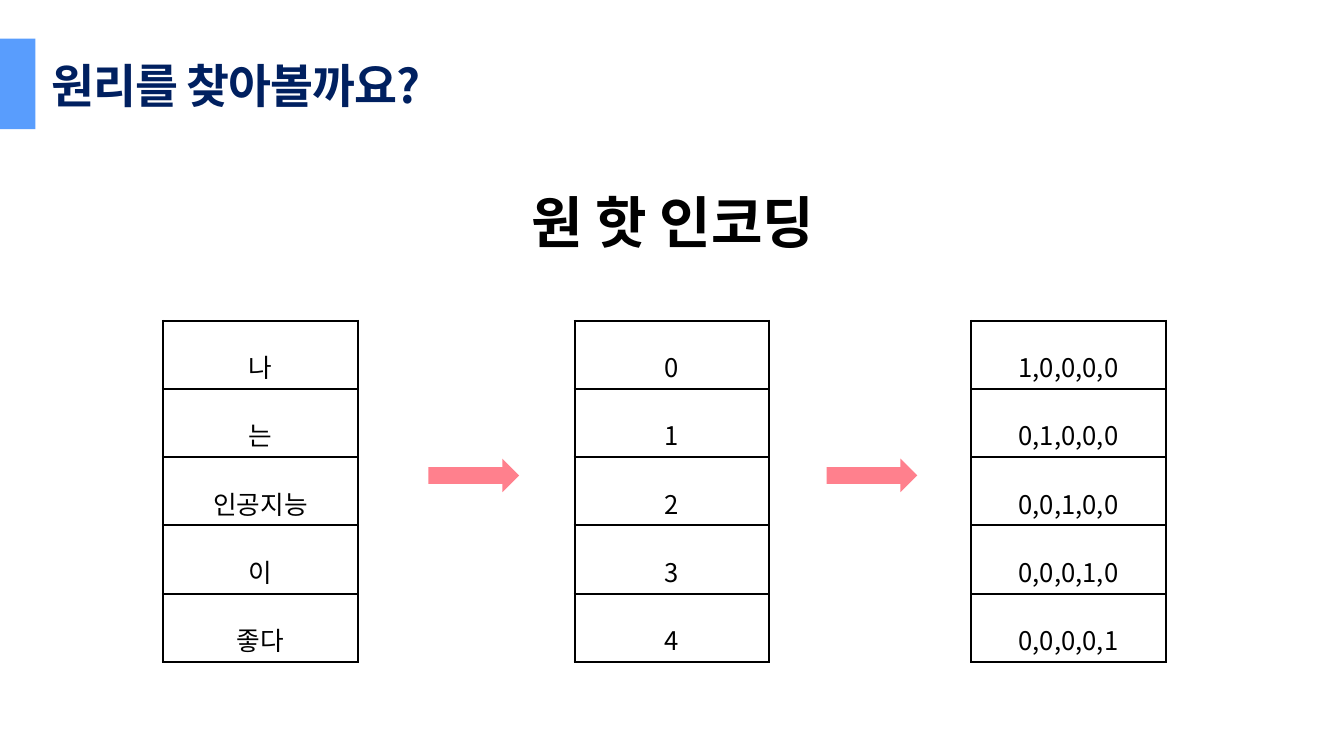
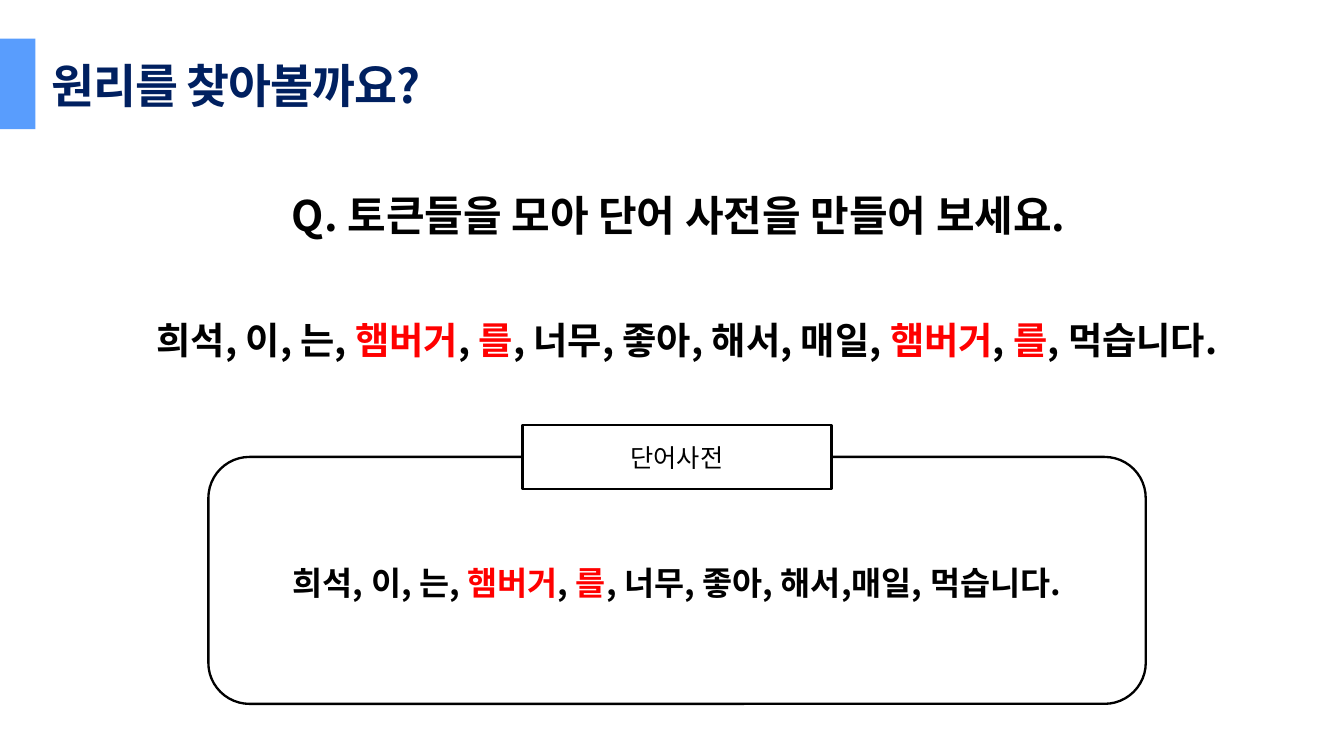
import pptx
import pptx.util
import pptx.dml.color
import pptx.enum.shapes
import pptx.enum.text
import pptx.oxml.ns
from lxml import etree

Inches = pptx.util.Inches
Pt = pptx.util.Pt
Shape = pptx.enum.shapes.MSO_SHAPE
Align = pptx.enum.text.PP_ALIGN
Anchor = pptx.enum.text.MSO_ANCHOR
qn = pptx.oxml.ns.qn


class Theme:
    font = "Noto Sans CJK KR"
    navy, blue, pink = "002060", "599DFD", "FF808D"
    black, white, red = "000000", "FFFFFF", "FF0000"
    title, head, ask, words, vocab, cell, label = 20, 24, 18, 16, 14, 11, 10.8
    line = 1


def rgb(code):
    return pptx.dml.color.RGBColor.from_string(code)


def style(run, size, color, bold=False):
    font = run.font
    font.name, font.size, font.bold = Theme.font, Pt(size), bold
    font.color.rgb = rgb(color)
    etree.SubElement(font._element, qn("a:ea"), typeface=Theme.font)


def write(frame, text, size, color=Theme.black, bold=True, align=Align.CENTER):
    """Fill a frame; words between asterisks turn red."""
    para = frame.paragraphs[0]
    para.alignment = align
    for i, part in enumerate(text.split("*")):
        run = para.add_run()
        run.text = part
        style(run, size, Theme.red if i % 2 else color, bold)
    return para


def add_text(slide, box, text, size, side=0.1, **look):
    frame = slide.shapes.add_textbox(*map(Inches, box)).text_frame
    frame.word_wrap = True
    frame.margin_left = frame.margin_right = Inches(side)
    return write(frame, text, size, **look)


def add_shape(slide, kind, box, fill=None, line=None):
    shape = slide.shapes.add_shape(kind, *map(Inches, box))
    shape.shadow.inherit = False
    if fill:
        shape.fill.solid()
        shape.fill.fore_color.rgb = rgb(fill)
    else:
        shape.fill.background()
    if line:
        shape.line.color.rgb = rgb(line)
        shape.line.width = Pt(Theme.line)
    else:
        shape.line.fill.background()
    return shape


def add_arrow(slide, left):
    arrow = add_shape(slide, Shape.DOWN_ARROW, (left, 2.56, 0.2, 0.54), Theme.pink)
    arrow.rotation = 270


def add_edges(cell):
    props = cell._tc.get_or_add_tcPr()
    for i, side in enumerate("LRTB"):
        edge = etree.Element(qn("a:ln" + side), w=str(Pt(Theme.line)))
        fill = etree.SubElement(edge, qn("a:solidFill"))
        etree.SubElement(fill, qn("a:srgbClr"), val=Theme.black)
        props.insert(i, edge)


def add_column(slide, left, items):
    box = map(Inches, (left, 1.91, 1.16, 2.03))
    table = slide.shapes.add_table(len(items), 1, *box).table
    table.first_row = table.horz_banding = False
    for i, item in enumerate(items):
        cell = table.cell(i, 0)
        cell.fill.background()
        cell.margin_top, cell.margin_bottom = Inches(0.05), Inches(0.02)
        para = write(cell.text_frame, item, Theme.cell, bold=False)
        para.line_spacing = 1.5
        add_edges(cell)


def add_slide(deck):
    """Blank slide with the shared title and side band."""
    slide = deck.slides.add_slide(deck.slide_layouts[6])
    title = add_text(slide, (0.21, 0.29, 4.54, 0.44), "원리를 찾아볼까요?",
                     Theme.title, color=Theme.navy, align=Align.LEFT)
    title.runs[0].font._element.set("spc", "-50")
    add_shape(slide, Shape.RECTANGLE, (-0.23, 0.23, 0.44, 0.54), Theme.blue)
    return slide


def show_codes(deck):
    slide = add_slide(deck)
    add_text(slide, (3.04, 1.07, 1.93, 0.5), "원 핫 인코딩", Theme.head)

    # Tokens, their numbers, and their one-hot codes
    tokens = ["나", "는", "인공지능", "이", "좋다"]
    span = range(len(tokens))
    codes = [",".join(str(int(i == j)) for j in span) for i in span]
    add_column(slide, 0.97, tokens)
    add_arrow(slide, 2.72)
    add_column(slide, 3.42, [str(i) for i in span])
    add_arrow(slide, 5.09)
    add_column(slide, 5.78, codes)


def show_vocab(deck):
    slide = add_slide(deck)

    # Question and its tokens
    add_text(slide, (1.6, 1.08, 4.8, 0.4),
             "Q. 토큰들을 모아 단어 사전을 만들어 보세요.", Theme.ask)
    add_text(slide, (0.44, 1.84, 7.3, 0.37),
             "희석, 이, 는, *햄버거*, *를*, 너무, 좋아, 해서, 매일, "
             "*햄버거*, *를*, 먹습니다.", Theme.words)

    # Word list in its labelled frame
    add_shape(slide, Shape.ROUNDED_RECTANGLE, (1.24, 2.72, 5.58, 1.47),
              line=Theme.black)
    label = add_shape(slide, Shape.RECTANGLE, (3.11, 2.53, 1.84, 0.38),
                      Theme.white, Theme.black)
    label.text_frame.vertical_anchor = Anchor.MIDDLE
    write(label.text_frame, "단어사전", Theme.label, bold=False)
    add_text(slide, (1.21, 3.3, 5.64, 0.34),
             "희석, 이, 는, *햄버거*, *를*, 너무, 좋아, 해서,매일, 먹습니다.",
             Theme.vocab, side=0.05)


def main():
    deck = pptx.Presentation()
    deck.slide_width, deck.slide_height = Inches(8), Inches(4.5)
    show_codes(deck)
    show_vocab(deck)
    deck.save("out.pptx")


if __name__ == "__main__":
    main()
